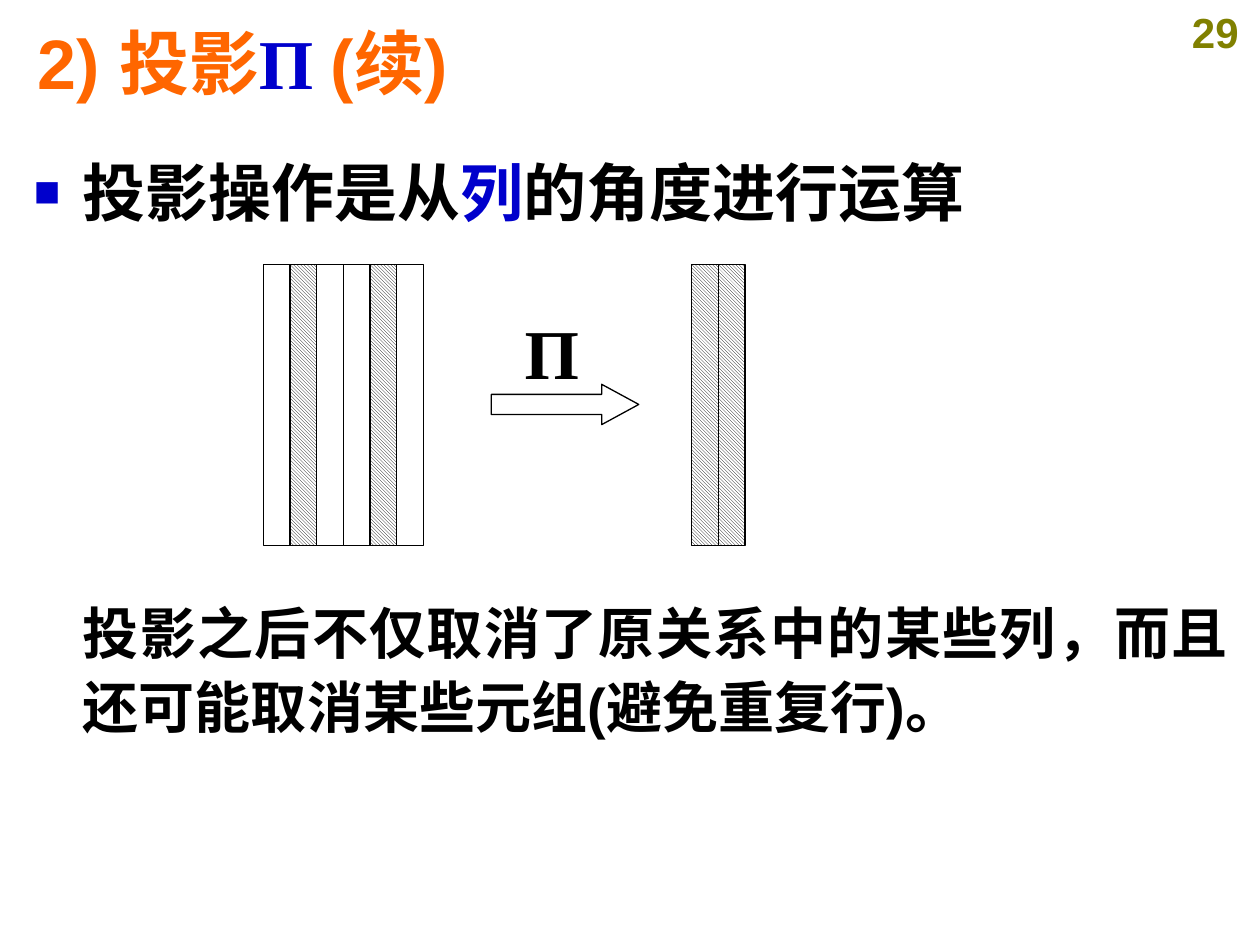
from dataclasses import dataclass

from lxml import etree
from pptx import Presentation
from pptx import util as u
from pptx.dml.color import RGBColor
from pptx.enum import dml, shapes, text
from pptx.oxml.ns import qn


@dataclass(frozen=True)
class Theme:
    sans: str = "Arial"
    serif: str = "Times New Roman"
    ink: str = "000000"
    paper: str = "FFFFFF"
    accent: str = "0000CC"
    title: str = "FF6600"
    number: str = "808000"
    title_pt: int = 40
    lead_pt: int = 36
    body_pt: int = 32
    number_pt: int = 24
    line_pt: float = 0.75


T = Theme()
GRID_COLS, GRID_ROWS = 100, 75
CELL = u.Inches(10) // GRID_COLS
STRIP_W = 12.7 / 6
ALIGN = text.PP_ALIGN


def grid(*cells):
    return [u.Emu(round(c * CELL)) for c in cells]


def rgb(value):
    return RGBColor.from_string(value)


def add_bullet(p, char, color, percent, indent):
    pPr = p._p.get_or_add_pPr()
    pPr.set("marL", str(u.Inches(indent)))
    pPr.set("indent", str(-u.Inches(indent)))
    clr = etree.SubElement(pPr, qn("a:buClr"))
    etree.SubElement(clr, qn("a:srgbClr"), val=color)
    etree.SubElement(pPr, qn("a:buSzPct"), val=str(percent * 1000))
    etree.SubElement(pPr, qn("a:buFont"), typeface=T.sans)
    etree.SubElement(pPr, qn("a:buChar"), char=char)


def add_text(s, at, runs, size, align=ALIGN.LEFT, spacing=1.0,
             anchor=text.MSO_ANCHOR.TOP, bullet=None):
    tf = s.shapes.add_textbox(*grid(*at)).text_frame
    tf.word_wrap = True
    tf.vertical_anchor = anchor
    p = tf.paragraphs[0]
    p.alignment = align
    p.line_spacing = spacing
    if bullet:
        add_bullet(p, bullet, T.accent, 70, 0.39)
    for content, color, font in runs:
        r = p.add_run()
        r.text = content
        r.font.name = font
        r.font.size = u.Pt(size)
        r.font.bold = True
        r.font.color.rgb = rgb(color)


def add_outlined(s, kind, at, hatched=False):
    sp = s.shapes.add_shape(kind, *grid(*at))
    sp.shadow.inherit = False
    if hatched:
        sp.fill.patterned()
        sp.fill.pattern = dml.MSO_PATTERN.LIGHT_DOWNWARD_DIAGONAL
        sp.fill.fore_color.rgb = rgb(T.ink)
        sp.fill.back_color.rgb = rgb(T.paper)
    else:
        sp.fill.solid()
        sp.fill.fore_color.rgb = rgb(T.paper)
    sp.line.color.rgb = rgb(T.ink)
    sp.line.width = u.Pt(T.line_pt)
    return sp


def add_relation(s, left, count, hatched):
    for i in range(count):
        at = (left + i * STRIP_W, 21, STRIP_W, 22.3)
        add_outlined(s, shapes.MSO_SHAPE.RECTANGLE, at, i in hatched)


def add_projection(s):
    arrow = add_outlined(s, shapes.MSO_SHAPE.RIGHT_ARROW, (39, 30.5, 11.7, 3.2))
    arrow.adjustments[0] = 0.5
    arrow.adjustments[1] = 0.92
    add_text(s, (39, 24.1, 9.6, 7.7), [("П", T.ink, T.serif)],
             T.title_pt, align=ALIGN.CENTER)
    add_relation(s, 20.9, 6, {1, 4})
    add_relation(s, 54.9, 2, {0, 1})


def main():
    prs = Presentation()
    prs.slide_width, prs.slide_height = grid(GRID_COLS, GRID_ROWS)
    s = prs.slides.add_slide(prs.slide_layouts[6])
    add_text(s, (92.9, 0, 7.1, 5), [("29", T.number, T.sans)],
             T.number_pt, align=ALIGN.CENTER)
    add_text(s, (2, 2.1, 94.7, 5.5),
             [("2) 投影", T.title, T.sans), ("П ", T.accent, T.serif),
              ("(续)", T.title, T.sans)],
             T.title_pt, anchor=text.MSO_ANCHOR.MIDDLE)
    add_text(s, (1.7, 11.1, 96.8, 8),
             [("投影操作是从", T.ink, T.sans), ("列", T.accent, T.sans),
              ("的角度进行运算", T.ink, T.sans)],
             T.lead_pt, align=ALIGN.JUSTIFY, spacing=1.1, bullet="■")
    add_text(s, (5.6, 46.5, 92.9, 13),
             [("投影之后不仅取消了原关系中的某些列，而且还可能取消某些元组(避免重复行)。",
               T.ink, T.sans)],
             T.body_pt, align=ALIGN.JUSTIFY, spacing=1.1)
    add_projection(s)
    prs.save("out.pptx")


if __name__ == "__main__":
    main()
